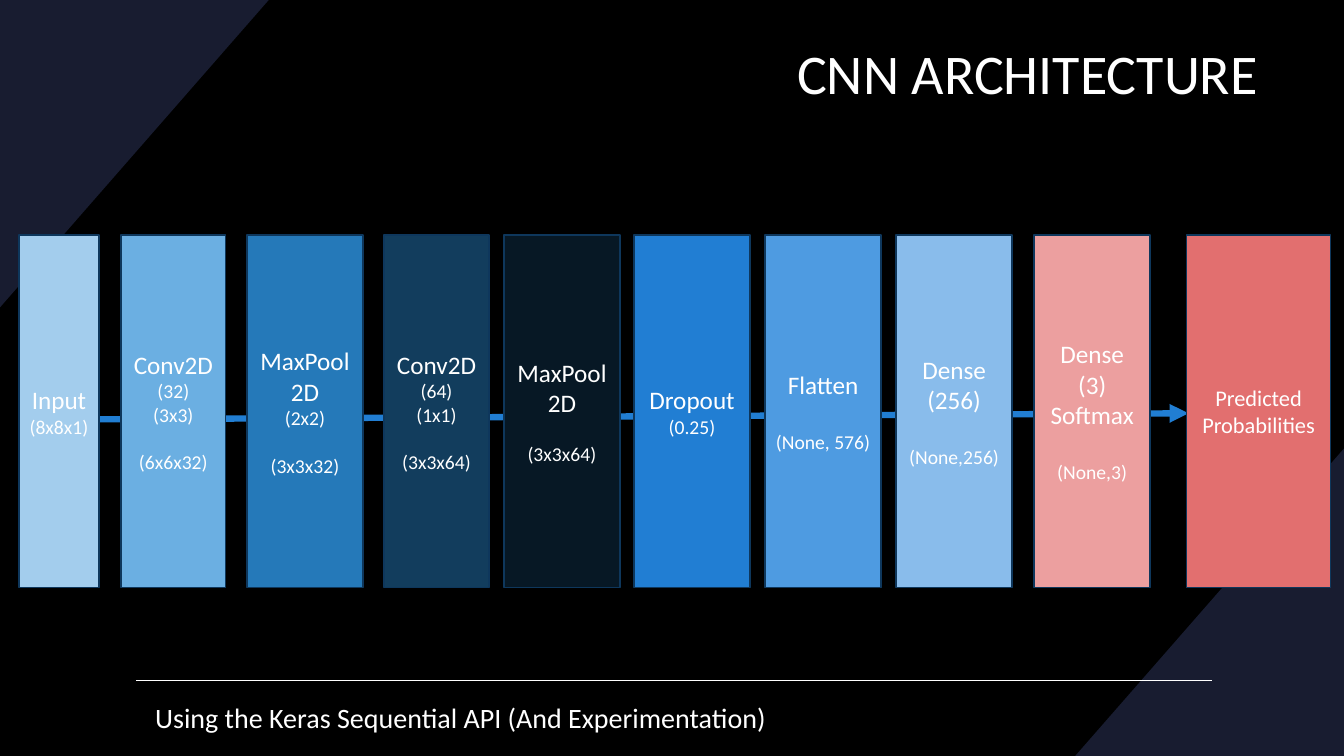
"""Build the CNN architecture slide: ten layer blocks threaded on one arrow."""
from lxml.etree import SubElement
from pptx import Presentation
from pptx.dml.color import RGBColor
from pptx.enum.shapes import MSO_CONNECTOR, MSO_SHAPE
from pptx.enum.text import MSO_ANCHOR, PP_ALIGN
from pptx.oxml.ns import qn
from pptx.util import Inches, Pt

BLACK = RGBColor(0x00, 0x00, 0x00)
WHITE = RGBColor(0xFF, 0xFF, 0xFF)
NAVY = RGBColor(0x18, 0x1C, 0x30)
BLUE = RGBColor(0x21, 0x7E, 0xD3)
OUTLINE = RGBColor(0x0E, 0x37, 0x5C)

deck = Presentation()
deck.slide_width, deck.slide_height = Inches(13.33), Inches(7.5)
COLUMN, ROW = deck.slide_width / 100, deck.slide_height / 100
page = deck.slides.add_slide(deck.slide_layouts[6])
page.background.fill.solid()
page.background.fill.fore_color.rgb = BLACK


def place(*lengths):
    """Turn alternating grid columns and rows into slide lengths."""
    return [round(length * (ROW if index % 2 else COLUMN)) for index, length in enumerate(lengths)]


def write(box, lines, align):
    """Fill a box with (text, size, space before) lines."""
    frame = box.text_frame
    frame.word_wrap = True
    frame.vertical_anchor = MSO_ANCHOR.MIDDLE
    for index, (text, size, gap) in enumerate(lines):
        para = frame.paragraphs[0] if index == 0 else frame.add_paragraph()
        para.alignment = align
        if gap:
            para.space_before = Pt(gap)
        span = para.add_run()
        span.text = text
        for name, value in {"size": Pt(size), "name": "Calibri"}.items():
            setattr(span.font, name, value)
        span.font.color.rgb = WHITE


CORNERS = [
    [(100, 59.33), (100, 100), (80, 100)],
    [(0, 40.67), (0, 0), (20, 0)],
]
for corner in CORNERS:
    start, *others = [place(*point) for point in corner]
    builder = page.shapes.build_freeform(*start)
    builder.add_line_segments(others, close=True)
    triangle = builder.convert_to_shape()
    triangle.shadow.inherit = False
    triangle.fill.solid()
    triangle.fill.fore_color.rgb = NAVY
    triangle.line.fill.background()

LINES = [
    ((10.13, 90, 90.15, 90), WHITE, 1, False),
    ((7.35, 55.47, 88.43, 54.67), BLUE, 4.5, True),
]
for ends, color, weight, has_arrow in LINES:
    connector = page.shapes.add_connector(MSO_CONNECTOR.STRAIGHT, *place(*ends))
    connector.line.color.rgb = color
    connector.line.width = Pt(weight)
    if has_arrow:
        SubElement(connector.line._get_or_add_ln(), qn("a:tailEnd"), type="triangle")
    SubElement(connector._element.spPr, qn("a:effectLst"))

CAPTIONS = [
    ((53.4, 0, 46.1, 19.07), "CNN ARCHITECTURE", 40, PP_ALIGN.CENTER),
    ((10.8, 92, 47.1, 5.87), "Using the Keras Sequential API (And Experimentation)", 20, PP_ALIGN.LEFT),
]
for area, text, size, align in CAPTIONS:
    write(page.shapes.add_textbox(*place(*area)), [(text, size, 0)], align)

BLOCK_TOP, BLOCK_HEIGHT = 31.07, 46.67
NARROW, WIDE = 7.8, 8.63
SMALL_GAP, LARGE_GAP = 17, 22
LAYERS = [
    (1.43, 5.93, "A3CDED", [("Input", 18, 0), ("(8x8x1)", 14, 0)]),
    (9, NARROW, "6BAFE2",
     [("Conv2D", 18, 0), ("(32)", 14, 0), ("(3x3)", 14, 0), ("(6x6x32)", 14, SMALL_GAP)]),
    (18.38, WIDE, "2579B9", [("MaxPool2D", 18, 0), ("(2x2)", 14, 0), ("(3x3x32)", 14, SMALL_GAP)]),
    (28.58, NARROW, "123D5D",
     [("Conv2D", 18, 0), ("(64)", 14, 0), ("(1x1)", 14, 0), ("(3x3x64)", 14, SMALL_GAP)]),
    (37.5, WIDE, "071825", [("MaxPool2D", 18, 0), ("(3x3x64)", 14, SMALL_GAP)]),
    (47.18, WIDE, "217ED3", [("Dropout", 18, 0), ("(0.25)", 14, 0)]),
    (56.93, WIDE, "4E9BE1", [("Flatten", 18, 0), ("(None, 576)", 14, LARGE_GAP)]),
    (66.68, WIDE, "89BCEB", [("Dense (256)", 18, 0), ("(None,256)", 14, LARGE_GAP)]),
    (76.95, WIDE, "EC9F9F", [("Dense (3)", 18, 0), ("Softmax", 18, 0), ("(None,3)", 14, LARGE_GAP)]),
    (88.28, 10.73, "E26F6F", [("Predicted", 16, 0), ("Probabilities", 16, 0)]),
]
for left, width, color, lines in LAYERS:
    block = page.shapes.add_shape(MSO_SHAPE.RECTANGLE, *place(left, BLOCK_TOP, width, BLOCK_HEIGHT))
    block.shadow.inherit = False
    block.fill.solid()
    block.fill.fore_color.rgb = RGBColor.from_string(color)
    block.line.color.rgb = OUTLINE
    block.line.width = Pt(1)
    write(block, lines, PP_ALIGN.CENTER)

deck.save("out.pptx")
